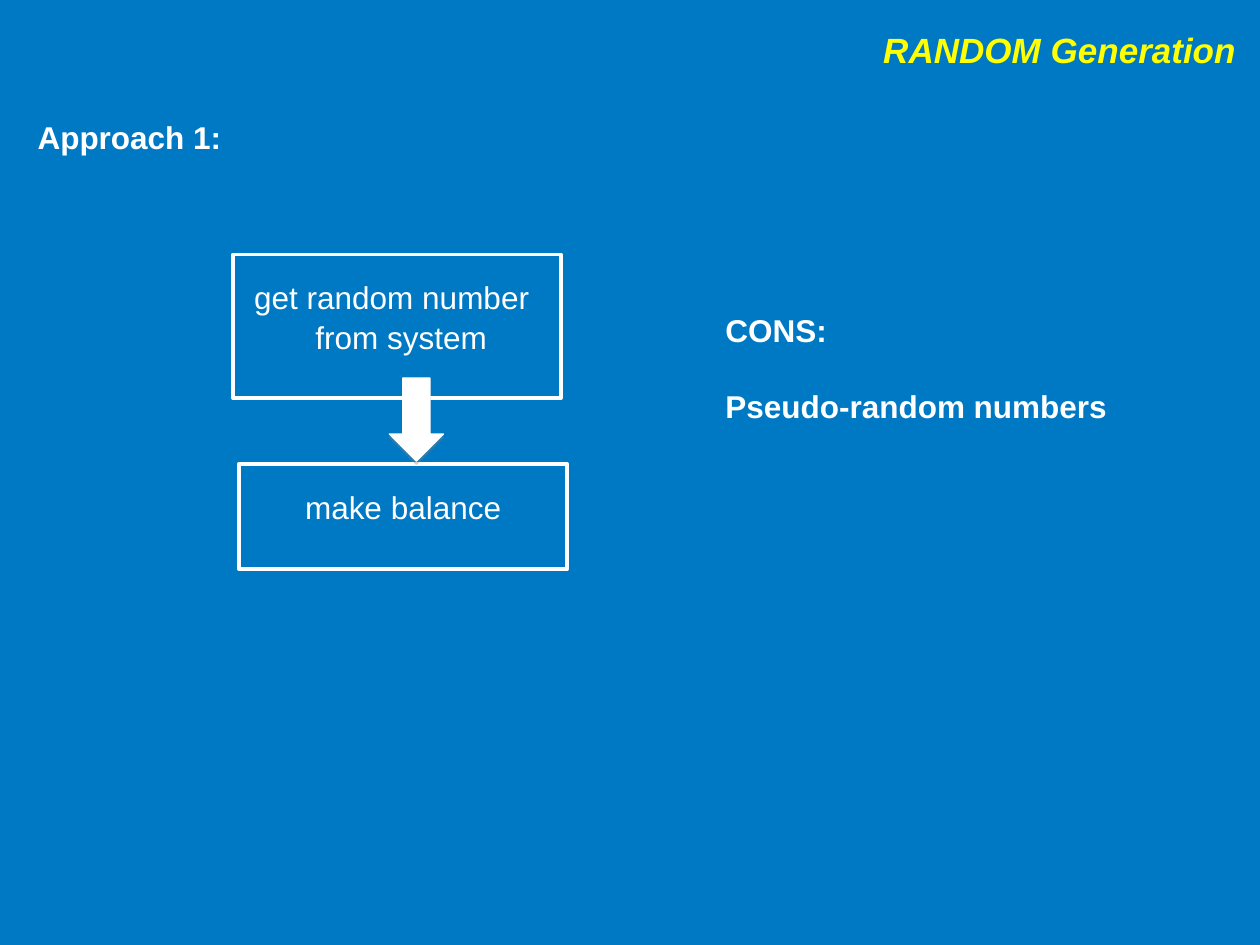
"""Builds the random generation slide."""
from lxml import etree
from pptx import Presentation
from pptx.dml.color import RGBColor as RGB
from pptx.enum.shapes import MSO_SHAPE as Shape
from pptx.enum.text import MSO_ANCHOR as Anchor, MSO_AUTO_SIZE as AutoSize, PP_ALIGN as Align
from pptx.oxml.ns import qn
from pptx.util import Inches, Pt

COLORS = {"background": "0079C5", "title": "FFFF00", "text": "FFFFFF", "shadow": "808080"}


class SlideBuilder:
    """Holds the style and the current slide."""

    font = "Arial"
    size = 18
    margins = {"margin_left": 0.1, "margin_right": 0.1, "margin_top": 0.05, "margin_bottom": 0.05}

    def __init__(self, deck):
        self.slide = deck.slides.add_slide(deck.slide_layouts[5])
        background = self.slide.background.fill
        background.solid()
        background.fore_color.rgb = self.color("background")

    def color(self, name):
        return RGB.from_string(COLORS[name])

    def fill_text(self, frame, lines, color="text", gap=0, top=0.05, **formats):
        frame.word_wrap = True
        frame.auto_size = AutoSize.NONE
        frame.vertical_anchor = Anchor.TOP
        for side, inset in {**self.margins, "margin_top": top}.items():
            setattr(frame, side, Inches(inset))
        font_values = {"name": self.font, "size": Pt(self.size), "bold": False, **formats}
        for index, (words, alignment) in enumerate(lines):
            paragraph = frame.add_paragraph() if index else frame.paragraphs[0]
            paragraph.alignment = alignment
            if index:
                paragraph.space_before = Pt(gap)
            run = paragraph.add_run()
            run.text = words
            for key, value in font_values.items():
                setattr(run.font, key, value)
            run.font.color.rgb = self.color(color)

    def title(self, words, box):
        heading = self.slide.shapes.title
        for key, value in zip(("left", "top", "width", "height"), box):
            setattr(heading, key, Inches(value))
        self.fill_text(heading.text_frame, [(words, Align.LEFT)], "title",
                       size=Pt(20), bold=True, italic=True)

    def label(self, lines, box, gap=0):
        label = self.slide.shapes.add_textbox(*map(Inches, box))
        self.fill_text(label.text_frame, [(words, Align.LEFT) for words in lines],
                       gap=gap, bold=True)

    def outline(self, kind, box, width):
        shape = self.slide.shapes.add_shape(kind, *map(Inches, box))
        shape.shadow.inherit = False
        shape.line.color.rgb = self.color("text")
        shape.line.width = Pt(width)
        return shape

    def step(self, lines, box):
        step = self.outline(Shape.RECTANGLE, box, 2.25)
        step.fill.background()
        self.fill_text(step.text_frame, lines, gap=1, top=0.19)

    def arrow(self, box):
        arrow = self.outline(Shape.DOWN_ARROW, box, 0.75)
        arrow.fill.solid()
        arrow.fill.fore_color.rgb = self.color("text")
        effects = arrow._element.spPr.find(qn("a:effectLst"))
        shadow = etree.SubElement(effects, qn("a:outerShdw"), dist=str(Pt(1.8)),
                                  dir="5400000", rotWithShape="0")
        tint = etree.SubElement(shadow, qn("a:srgbClr"), val=COLORS["shadow"])
        etree.SubElement(tint, qn("a:alpha"), val="35000")


def main():
    deck = Presentation()
    deck.slide_width, deck.slide_height = Inches(10), Inches(7.5)
    builder = SlideBuilder(deck)
    builder.title("RANDOM Generation", (6.91, 0.18, 3.31, 0.44))
    builder.label(["Approach 1:"], (0.2, 0.89, 3.31, 0.4))
    builder.step([(" get random number", Align.LEFT), (" from system", Align.CENTER)],
                 (1.85, 2.02, 2.6, 1.14))
    builder.step([("make balance", Align.CENTER)], (1.9, 3.68, 2.6, 0.84))
    builder.arrow((3.09, 3, 0.43, 0.66))
    builder.label(["CONS:", "Pseudo-random numbers"], (5.66, 2.42, 3.5, 1.3), gap=22)
    deck.save("out.pptx")


if __name__ == "__main__":
    main()
